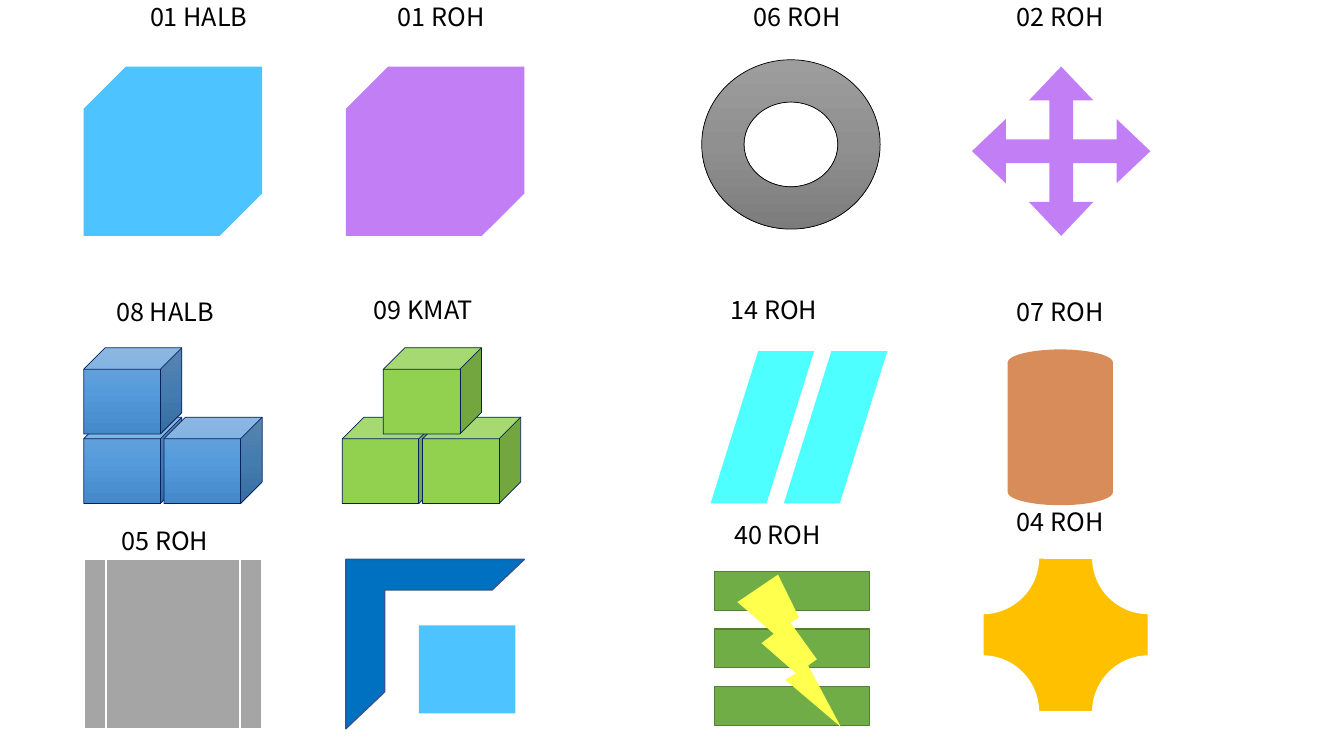
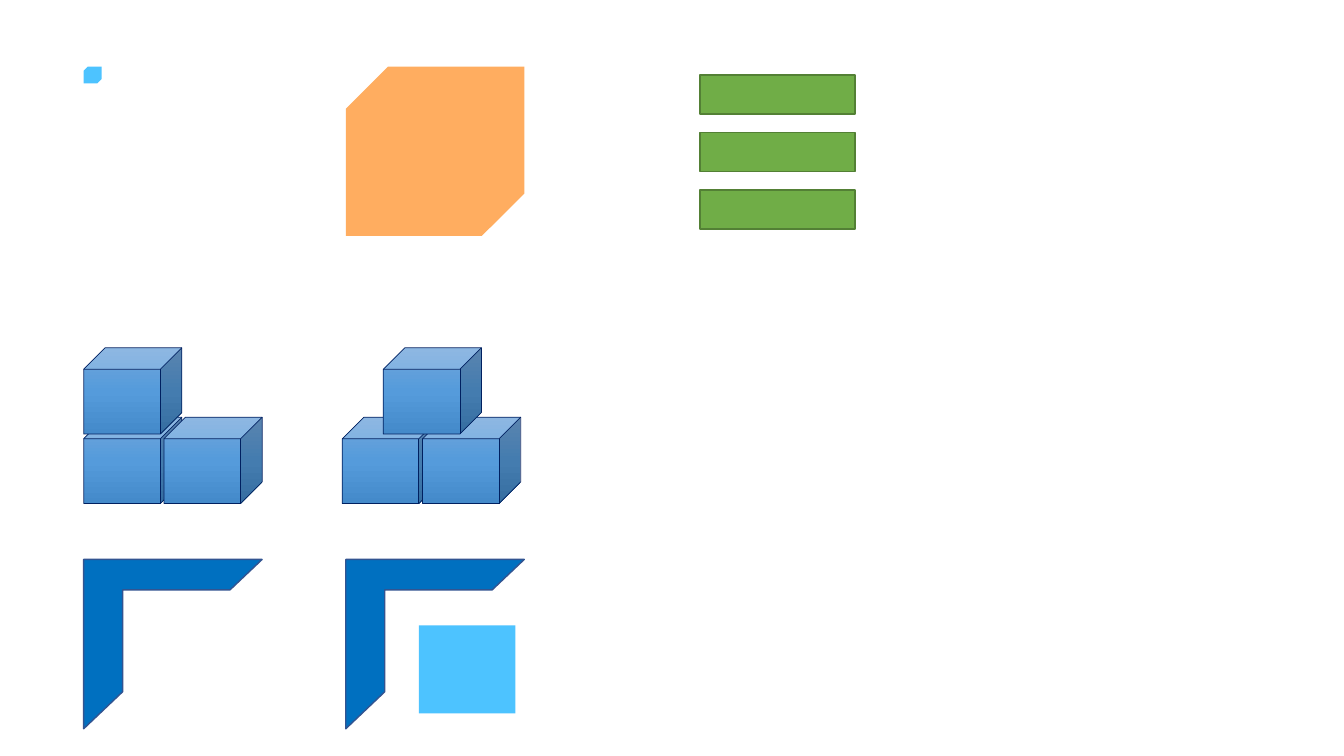
from copy import deepcopy
from dataclasses import dataclass
from math import cos, pi, sin
from typing import Any, Optional

from pptx import Presentation
from pptx.dml.color import RGBColor
from pptx.enum.shapes import MSO_SHAPE as Kind
from pptx.enum.text import MSO_ANCHOR as Anchor, PP_ALIGN as Align
from pptx.util import Inches, Pt

WIDE, HIGH = 13.33, 7.5
COLS, ROWS = (0.83, 3.43, 6.96, 9.64), (0.66, 3.45, 5.55)
CELL_W, CELL_H = 1.77, 1.68
LABEL_W, LABEL_H = 0.71, 0.11
FONT = {"name": "Noto Sans CJK SC", "size": Pt(18)}
FRAME = {"word_wrap": False, "vertical_anchor": Anchor.MIDDLE,
         "margin_left": 0, "margin_right": 0, "margin_top": 0, "margin_bottom": 0}

SKY, VIOLET, PEACH, CLAY = "4DC3FF", "C27FF5", "FFAD60", "D88C5A"
BLUE, NAVY, INK = "0070C0", "325491", "002060"
LIME, GREEN, MOSS = "92D050", "70AD47", "538035"
CYAN, LEMON, GOLD = "4DFFFF", "FFFF4D", "FFC000"
GREY, WHITE, BLACK = "A5A5A5", "FFFFFF", "000000"
STEEL = ("71A6DB", "559BDB", "448ACA")
ASH = ("9D9D9D", "909090", "7C7C7C")


@dataclass(frozen=True)
class Piece:
    """One outline, placed in shares of a grid cell."""
    kind: Optional[Kind]
    fill: str | tuple[str, ...]
    x: float = 0
    y: float = 0
    w: float = 1
    h: float = 1
    line: str = ""
    pen: float = 1
    adj: tuple[float, ...] = ()


@dataclass(frozen=True)
class Icon:
    """Pieces that stand together in one cell."""
    col: int
    row: int
    pieces: list[Piece]


@dataclass(frozen=True)
class Label:
    """A caption, offset in shares of a cell."""
    text: str
    col: int
    row: int
    x: float
    y: float


def tint(code: str) -> RGBColor:
    """Turn a hex string into a colour."""
    return RGBColor.from_string(code)


def assign(item: Any, values: dict[str, Any]) -> None:
    """Set each named attribute of an item."""
    for name, value in values.items():
        setattr(item, name, value)


def place(col: int, row: int, x: float, y: float, w: float, h: float) -> list[int]:
    """Turn shares of a cell into left, top, width and height."""
    return [Inches(v) for v in (COLS[col] + x * CELL_W, ROWS[row] + y * CELL_H,
                                w * CELL_W, h * CELL_H)]


def blend(shape: Any, codes: tuple[str, ...]) -> None:
    """Fill a shape from top to bottom with evenly spaced colours."""
    shape.fill.gradient()
    shape.fill.gradient_angle = 270
    stops = shape._element.spPr.xpath(".//a:gsLst")[0]
    for _ in codes[2:]:
        stops.append(deepcopy(stops[0]))
    for i, (stop, code) in enumerate(zip(shape.fill.gradient_stops, codes)):
        stop.position = i / (len(codes) - 1)
        stop.color.rgb = tint(code)


def drum(shapes: Any, left: int, top: int, width: int, height: int) -> Any:
    """Draw a cylinder outline with curved ends."""
    rx, ry, steps = width / 2, width / 8, 24
    arc = [(left + rx - rx * cos(pi * i / steps), ry * sin(pi * i / steps))
           for i in range(steps + 1)]
    dots = [(x, top + ry - y) for x, y in arc]
    dots += [(x, top + height - ry + y) for x, y in reversed(arc)]
    form = shapes.build_freeform(*map(round, dots[0]))
    form.add_line_segments([(round(x), round(y)) for x, y in dots[1:]])
    return form.convert_to_shape()


def draw(shapes: Any, piece: Piece, col: int, row: int) -> None:
    """Draw one piece in its cell."""
    box = place(col, row, piece.x, piece.y, piece.w, piece.h)
    shape = drum(shapes, *box) if piece.kind is None else shapes.add_shape(piece.kind, *box)
    shape.shadow.inherit = False
    for i, value in enumerate(piece.adj):
        shape.adjustments[i] = value
    if isinstance(piece.fill, tuple):
        blend(shape, piece.fill)
    else:
        shape.fill.solid()
        shape.fill.fore_color.rgb = tint(piece.fill)
    if piece.line:
        shape.line.color.rgb = tint(piece.line)
        shape.line.width = Pt(piece.pen)
    else:
        shape.line.fill.background()


def show(slide: Any, icon: Icon) -> None:
    """Draw an icon, grouped when it has several pieces."""
    many = len(icon.pieces) > 1
    shapes = slide.shapes.add_group_shape().shapes if many else slide.shapes
    for piece in icon.pieces:
        draw(shapes, piece, icon.col, icon.row)


def write(slide: Any, label: Label) -> None:
    """Write a centred caption."""
    box = slide.shapes.add_textbox(
        *place(label.col, label.row, label.x, label.y, LABEL_W, LABEL_H))
    assign(box.text_frame, FRAME)
    line = box.text_frame.paragraphs[0]
    line.alignment = Align.CENTER
    run = line.add_run()
    run.text = label.text
    assign(run.font, FONT)
    run.font.color.rgb = tint(BLACK)


def block(fill: str, size: float = 1) -> list[Piece]:
    """Give a flat block with two cut corners."""
    return [Piece(Kind.SNIP_2_DIAG_RECTANGLE, fill, w=size, h=size, adj=(0.25, 0))]


def stack(fill: str | tuple[str, ...], left: float, top: float) -> list[Piece]:
    """Give two cubes side by side and one above them."""
    spots = ((left, 0.41), (left + 0.45, 0.41), (top, 0))
    return [Piece(Kind.CUBE, fill, x, y, 0.55, 0.51, INK, 0.5) for x, y in spots]


def bars(x: float, y: float) -> list[Piece]:
    """Give three evenly spaced bars."""
    return [Piece(Kind.RECTANGLE, GREEN, x, y + 0.34 * i, 0.87, 0.23, MOSS)
            for i in range(3)]


ANGLE = Piece(Kind.HALF_FRAME, BLUE, line=NAVY, adj=(0.18, 0.23))
CORNER = [ANGLE, Piece(Kind.RECTANGLE, SKY, 0.41, 0.39, 0.54, 0.52)]
SLANTS = [Piece(Kind.PARALLELOGRAM, CYAN, x, 0.02, 0.58, 0.9, adj=(0.46,))
          for x in (0.05, 0.46)]
BOLT = Piece(Kind.LIGHTNING_BOLT, LEMON, 0.2, 0.09, 0.58, 0.9)

PAGES = [
    ([Icon(0, 0, block(SKY)),
      Icon(1, 0, block(VIOLET)),
      Icon(2, 0, [Piece(Kind.DONUT, ASH, y=-0.04, line=BLACK, pen=0.5)]),
      Icon(3, 0, [Piece(Kind.QUAD_ARROW, VIOLET, adj=(0.14, 0.19, 0.2))]),
      Icon(0, 1, stack(STEEL, 0, 0)),
      Icon(1, 1, stack(LIME, -0.02, 0.21)),
      Icon(2, 1, SLANTS),
      Icon(3, 1, [Piece(None, CLAY, 0.2, 0.01, 0.59, 0.92)]),
      Icon(0, 2, [Piece(Kind.FLOWCHART_PREDEFINED_PROCESS, GREY, line=WHITE, pen=1.5)]),
      Icon(1, 2, CORNER),
      Icon(2, 2, bars(0.07, 0.07) + [BOLT]),
      Icon(3, 2, [Piece(Kind.PLAQUE, GOLD, 0.06, -0.01, 0.93, 0.91, WHITE, 1.5, (0.36,))])],
     [Label("01 HALB", 0, 0, 0.29, -0.35),
      Label("01 ROH", 1, 0, 0.18, -0.35),
      Label("06 ROH", 2, 0, 0.18, -0.35),
      Label("02 ROH", 3, 0, 0.14, -0.35),
      Label("08 HALB", 0, 1, 0.1, -0.27),
      Label("09 KMAT", 1, 1, 0.08, -0.28),
      Label("14 ROH", 2, 1, 0.05, -0.28),
      Label("07 ROH", 3, 1, 0.14, -0.27),
      Label("05 ROH", 0, 2, 0.1, -0.17),
      Label("40 ROH", 2, 2, 0.07, -0.2),
      Label("04 ROH", 3, 2, 0.14, -0.28)]),
    ([Icon(0, 0, block(SKY, 0.1)),
      Icon(1, 0, block(PEACH)),
      Icon(2, 0, bars(-0.01, 0.05)),
      Icon(0, 1, stack(STEEL, 0, 0)),
      Icon(1, 1, stack(STEEL, -0.02, 0.21)),
      Icon(0, 2, [ANGLE]),
      Icon(1, 2, CORNER)],
     []),
]


def main() -> None:
    """Build and save the deck."""
    deck = Presentation()
    assign(deck, {"slide_width": Inches(WIDE), "slide_height": Inches(HIGH)})
    for icons, labels in PAGES:
        slide = deck.slides.add_slide(deck.slide_layouts[6])
        for icon in icons:
            show(slide, icon)
        for label in labels:
            write(slide, label)
    deck.save("out.pptx")


main()
